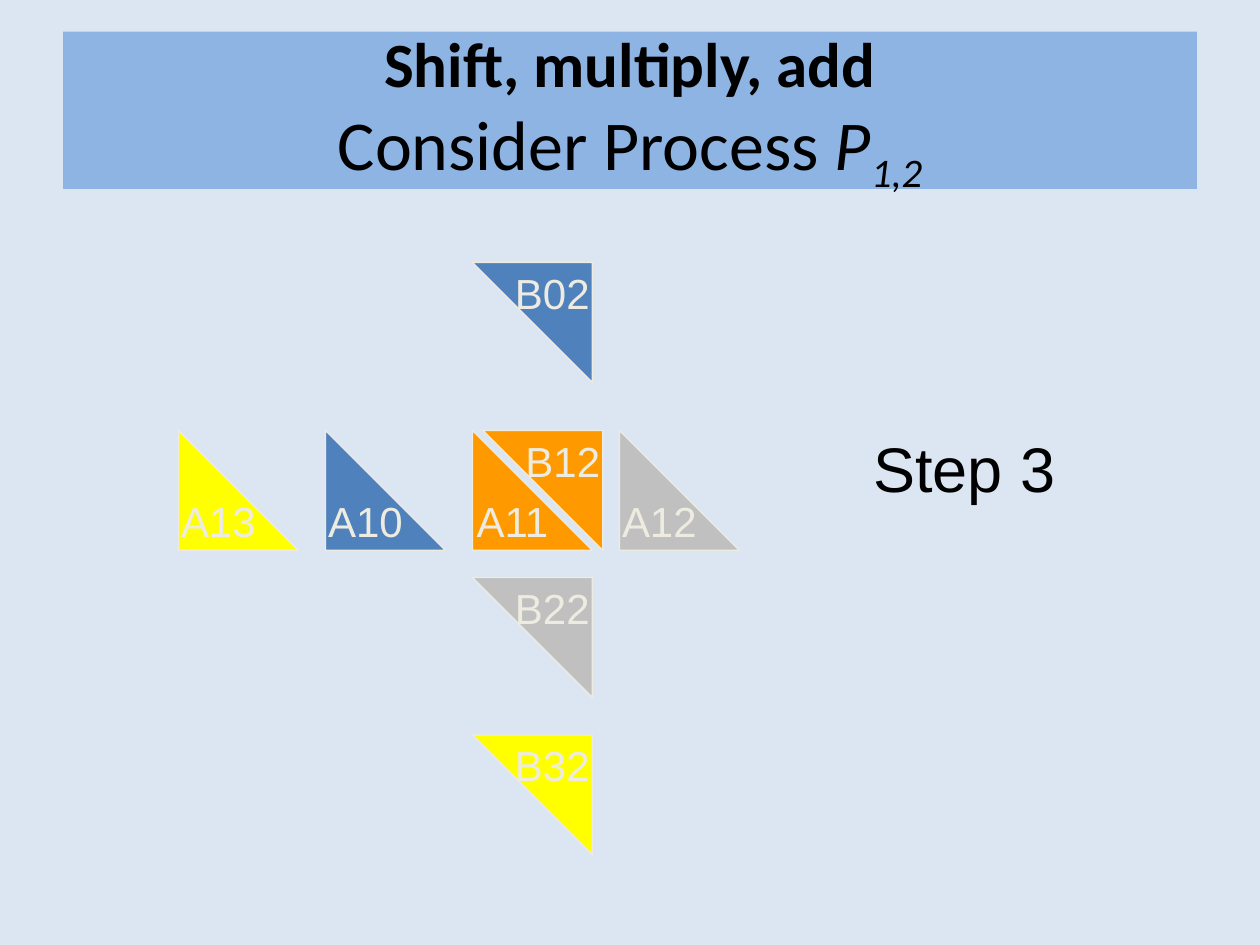
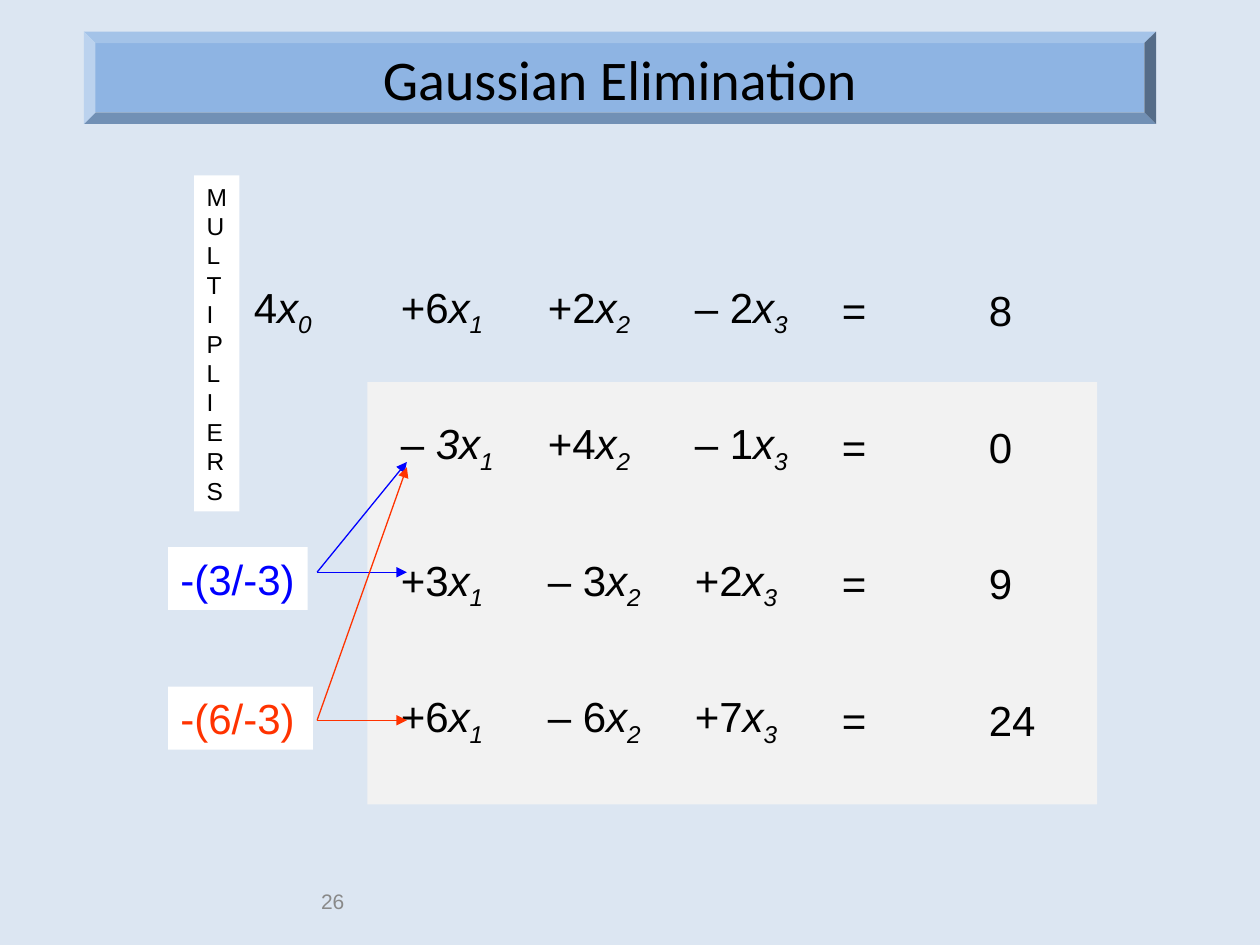
from lxml.etree import SubElement
from pptx import Presentation
from pptx.dml.color import RGBColor
from pptx.enum.shapes import MSO_CONNECTOR, MSO_SHAPE
from pptx.enum.text import MSO_ANCHOR, MSO_AUTO_SIZE, PP_ALIGN
from pptx.oxml.ns import qn
from pptx.util import Inches, Pt

BACKDROP = RGBColor(0xDC, 0xE6, 0xF2)
BAND = RGBColor(0x8E, 0xB4, 0xE3)
BLACK = RGBColor(0x00, 0x00, 0x00)
WHITE = RGBColor(0xFF, 0xFF, 0xFF)
CREAM = RGBColor(0xEE, 0xEC, 0xE1)
PANEL = RGBColor(0xF2, 0xF2, 0xF2)
GRAY = RGBColor(0xC0, 0xC0, 0xC0)
NUMBER_GRAY = RGBColor(0x89, 0x89, 0x89)
YELLOW = RGBColor(0xFF, 0xFF, 0x00)
STEEL = RGBColor(0x4F, 0x81, 0xBD)
ORANGE = RGBColor(0xFF, 0x99, 0x00)
BLUE = RGBColor(0x00, 0x00, 0xFF)
RED = RGBColor(0xFF, 0x33, 0x00)

COLUMNS, ROWS = 120, 90
UNIT = Inches(10) / COLUMNS
TITLE_ONLY = 5
COLUMN_STEP = 14
ITALIC = {"italic": True}
SUBSCRIPT = {"italic": True, "baseline": -25000}

BLOCKS_A = [("A13", YELLOW), ("A10", STEEL), ("A11", ORANGE), ("A12", GRAY)]
BLOCKS_B = [("B02", 45, 25, STEEL), ("B12", 46, 41, ORANGE),
            ("B22", 45, 55, GRAY), ("B32", 45, 70, YELLOW)]
EQUATIONS = [
    (["4", "+6", "+2", "– 2"], "8"),
    ([None, "– 3", "+4", "– 1"], "0"),
    ([None, "+3", "– 3", "+2"], "9"),
    ([None, "+6", "– 6", "+7"], "24"),
]
MULTIPLIERS = [
    ("-(3/-3)", BLUE, (16, 52.1, 13.3, 6), 54.5, 44),
    ("-(6/-3)", RED, (16, 65.4, 13.8, 6), 68.6, 44.5),
]


def grid(*units):
    """Turn grid units into slide lengths."""
    return [round(unit * UNIT) for unit in units]


def write(para, spans, size, color=BLACK, font="Arial", align=PP_ALIGN.LEFT):
    """Fill a paragraph with (text, format) spans."""
    para.alignment = align
    for text, changes in spans:
        if text == "\n":
            para.add_line_break()
            continue
        span = para.add_run()
        span.text = text
        span.font.color.rgb = color
        look = {"name": font, "size": Pt(size), "bold": False} | changes
        baseline = look.pop("baseline", None)
        for name, value in look.items():
            setattr(span.font, name, value)
        if baseline:
            span._r.get_or_add_rPr().set("baseline", str(baseline))


def set_frame(box, **values):
    """Set the text frame of a box and return its first paragraph."""
    for name, value in values.items():
        setattr(box.text_frame, name, value)
    return box.text_frame.paragraphs[0]


def add_filled(page, kind, place, fill, line=None):
    """Add a flat preset shape, outlined only when a line colour is given."""
    shape = page.shapes.add_shape(kind, *grid(*place))
    shape.shadow.inherit = False
    shape.fill.solid()
    shape.fill.fore_color.rgb = fill
    if line is None:
        shape.line.fill.background()
    else:
        shape.line.color.rgb = line
        shape.line.width = Pt(0.75)
    return shape


def add_label(page, place, spans, size, anchor=MSO_ANCHOR.MIDDLE, **style):
    """Add a text box of one paragraph that may use its full right side."""
    box = page.shapes.add_textbox(*grid(*place))
    para = set_frame(box, word_wrap=True, margin_right=0, vertical_anchor=anchor)
    write(para, spans, size, **style)


def add_page(deck, place, band_kind, spans, size):
    """Add a slide whose title sits on a coloured band."""
    page = deck.slides.add_slide(deck.slide_layouts[TITLE_ONLY])
    title = page.shapes.title
    title.left, title.top, title.width, title.height = grid(*place)
    if band_kind == MSO_SHAPE.RECTANGLE:
        title.fill.solid()
        title.fill.fore_color.rgb = BAND
    else:
        title.element.addprevious(add_filled(page, band_kind, place, BAND).element)
    para = set_frame(title, vertical_anchor=MSO_ANCHOR.MIDDLE,
                     auto_size=MSO_AUTO_SIZE.NONE, word_wrap=True)
    write(para, spans, size, font="Calibri", align=PP_ALIGN.CENTER)
    return page


def add_block(page, name, left, top, fill, turned=False):
    """Add a triangular matrix block with upright text."""
    block = add_filled(page, MSO_SHAPE.RIGHT_TRIANGLE, (left, top, 11.4, 11.4), fill, CREAM)
    para = set_frame(block, word_wrap=False, vertical_anchor=MSO_ANCHOR.MIDDLE)
    write(para, [(name, {})], 24, CREAM, align=PP_ALIGN.CENTER)
    if turned:
        block.rotation = 180
        block.text_frame._txBody.bodyPr.set("rot", "10800000")


def add_arrow(page, start, end, color):
    """Add a thin straight arrow."""
    arrow = page.shapes.add_connector(MSO_CONNECTOR.STRAIGHT, *grid(*start, *end))
    arrow.line.color.rgb = color
    arrow.line.width = Pt(0.75)
    SubElement(arrow.line._get_or_add_ln(), qn("a:tailEnd"), type="triangle")
    SubElement(arrow.element.spPr, qn("a:effectLst"))


def add_note(page, place, lines, size, color=BLACK, wrap=True):
    """Add a white box with one paragraph per line."""
    note = add_filled(page, MSO_SHAPE.RECTANGLE, place, WHITE)
    para = set_frame(note, word_wrap=wrap, vertical_anchor=MSO_ANCHOR.TOP,
                     auto_size=MSO_AUTO_SIZE.SHAPE_TO_FIT_TEXT)
    for index, line in enumerate(lines):
        if index:
            para = note.text_frame.add_paragraph()
        write(para, [(line, {})], size, color)


def add_equation(page, row, coefficients, result):
    """Add one row of the linear system."""
    cells = []
    for index, factor in enumerate(coefficients):
        if factor is None:
            cells.append([])
        elif factor == "– 3" and index == 1:
            cells.append([("–", {}), (" 3x", ITALIC), (str(index), SUBSCRIPT)])
        else:
            cells.append([(factor, {}), ("x", ITALIC), (str(index), SUBSCRIPT)])
    cells += [[("=", {})], [(result, {})]]
    for column, spans in enumerate(cells):
        if spans:
            add_label(page, (23 + column * COLUMN_STEP, 24 + row * 13, 11, 11), spans, 24)


def build_shift(deck):
    """Build the slide on block shifting."""
    heading = [("Shift, multiply, add", {"bold": True, "size": Pt(36)}), ("\n", {}),
               ("Consider Process ", {}), ("P", ITALIC), ("1,2", SUBSCRIPT)]
    page = add_page(deck, (6, 3, 108, 15), MSO_SHAPE.RECTANGLE, heading, 40)
    for column, (name, fill) in enumerate(BLOCKS_A):
        add_block(page, name, 17 + column * COLUMN_STEP, 41, fill)
    for name, left, top, fill in BLOCKS_B:
        add_block(page, name, left, top, fill, turned=True)
    add_label(page, (82, 40.3, 19.7, 8.4), [("Step 3", {})], 36, MSO_ANCHOR.TOP)


def build_elimination(deck):
    """Build the slide on Gaussian elimination."""
    page = add_page(deck, (8, 3, 102.1, 8.8), MSO_SHAPE.BEVEL,
                    [("Gaussian Elimination", {})], 32)
    add_filled(page, MSO_SHAPE.RECTANGLE, (35, 36.4, 69.5, 40.2), PANEL)
    add_label(page, (8, 83.4, 24.8, 4.8), [("26", {})], 12,
              color=NUMBER_GRAY, align=PP_ALIGN.RIGHT)
    for row, (coefficients, result) in enumerate(EQUATIONS):
        add_equation(page, row, coefficients, result)
    add_note(page, (18.5, 16.7, 4.3, 32), "MULTIPLIERS", 14, wrap=False)
    for text, color, place, level, pivot in MULTIPLIERS:
        add_note(page, place, [text], 24, color)
        for target in (pivot, level):
            add_arrow(page, (30.2, level), (38.75, target), color)


def main():
    """Build and save the deck."""
    deck = Presentation()
    deck.slide_width, deck.slide_height = grid(COLUMNS, ROWS)
    backdrop = deck.slide_master.background.fill
    backdrop.solid()
    backdrop.fore_color.rgb = BACKDROP
    build_shift(deck)
    build_elimination(deck)
    deck.save("out.pptx")


if __name__ == "__main__":
    main()
